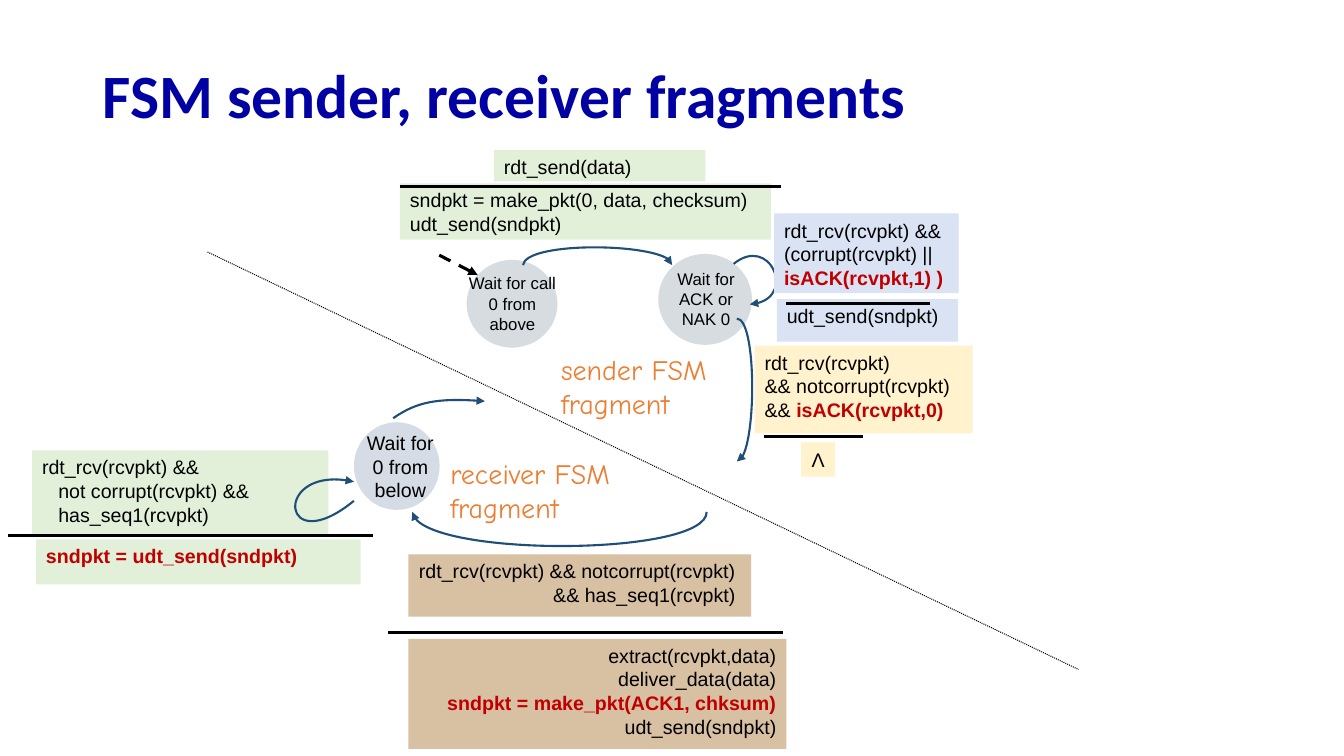
from dataclasses import dataclass
from lxml import etree
from pptx import Presentation, util as u
from pptx.dml.color import RGBColor
from pptx.enum import dml, shapes, text
from pptx.oxml.ns import qn


@dataclass(frozen=True)
class Theme:
    title: str = "0000A3"
    ink: str = "000000"
    accent: str = "C00000"
    caption: str = "ED7D31"
    arrow: str = "1F4E79"
    state: str = "D6DCE0"
    receiver_state: str = "D6DCE5"
    green: str = "E2F0D9"
    blue: str = "DAE3F3"
    yellow: str = "FFF2CC"
    brown: str = "945200"
    title_size: int = 44
    caption_size: int = 20
    label_size: int = 14
    state_size: int = 12


theme = Theme()
align = text.PP_ALIGN
prs = Presentation()
prs.slide_width, prs.slide_height = u.Cm(33.87), u.Cm(19.05)
slide = prs.slides.add_slide(prs.slide_layouts[6])


def add_label(place, lines, fill=None, size=theme.label_size, color=theme.ink,
              face="Arial", alignment=align.LEFT, wrap=True):
    """Add a text block; a line is a string or a (plain, accented) pair."""
    place = [u.Cm(length) for length in place]
    if fill:
        label = slide.shapes.add_shape(shapes.MSO_SHAPE.RECTANGLE, *place)
        label.shadow.inherit = False
        label.fill.solid()
        label.fill.fore_color.rgb = RGBColor.from_string(fill)
        label.line.fill.background()
    else:
        label = slide.shapes.add_textbox(*place)
    frame = label.text_frame
    frame.word_wrap = wrap
    frame.vertical_anchor = text.MSO_ANCHOR.TOP
    for number, line in enumerate(lines):
        plain, accented = (line, "") if isinstance(line, str) else line
        paragraph = frame.paragraphs[0] if number == 0 else frame.add_paragraph()
        paragraph.alignment = alignment
        paragraph.font.name = face
        paragraph.font.size = u.Pt(size)
        if plain:
            paragraph.add_run().text = plain
            paragraph.font.color.rgb = RGBColor.from_string(color)
        if accented:
            run = paragraph.add_run()
            run.text = accented
            accent_font = run.font if plain else paragraph.font
            accent_font.bold = True
            accent_font.color.rgb = RGBColor.from_string(theme.accent)
    return label


def style_line(stroke, color, width, dash=None, arrow=False):
    stroke.line.color.rgb = RGBColor.from_string(color)
    stroke.line.width = u.Pt(width)
    if dash:
        stroke.line.dash_style = dash
    properties = stroke._element.spPr
    if arrow:
        etree.SubElement(properties.find(qn("a:ln")), qn("a:tailEnd"), type="triangle")
    etree.SubElement(properties, qn("a:effectLst"))


title = add_label((2.34, 1.24, 29.21, 2.49), ["FSM sender, receiver fragments"],
                  size=theme.title_size, color=theme.title, face="Calibri")
title.text_frame.vertical_anchor = text.MSO_ANCHOR.MIDDLE
title.text_frame.paragraphs[0].font.bold = True
title.text_frame.paragraphs[0].line_spacing = 0.9

# Events and actions behind the arrows
add_label((10.08, 4.62, 9.35, 1.42),
          ["sndpkt = make_pkt(0, data, checksum)", "udt_send(sndpkt)"], theme.green)
add_label((12.45, 3.78, 5.33, 0.79), ["rdt_send(data)"], theme.green)
valid_packet = add_label((0.81, 11.35, 7.47, 2.16),
                         ["rdt_rcv(rcvpkt) &&", "not corrupt(rcvpkt) &&", "has_seq1(rcvpkt)"],
                         theme.green)
for condition in valid_packet.text_frame.paragraphs[1:]:
    condition._p.get_or_add_pPr().set("marL", str(u.Cm(0.41)))
add_label((0.91, 13.59, 8.18, 1.14), [("", "sndpkt = udt_send(sndpkt)")], theme.green)

states = [
    ((11.76, 6.55, 2.29, 2.21), (11.53, 6.76, 2.77, 1.63),
     ["Wait for call 0 from above"], theme.state, theme.state_size),
    ((16.59, 6.4, 2.36, 2.29), (16.41, 6.65, 2.77, 1.73),
     ["Wait for ACK or NAK 0"], theme.state, theme.state_size),
    ((8.92, 10.64, 2.16, 2.21), (8.97, 10.74, 2.24, 1.7),
     ["Wait for", "0 from below"], theme.receiver_state, theme.label_size),
]
for circle_place, name_place, name, fill, size in states:
    circle = slide.shapes.add_shape(shapes.MSO_SHAPE.OVAL, *map(u.Cm, circle_place))
    circle.shadow.inherit = False
    circle.fill.solid()
    circle.fill.fore_color.rgb = RGBColor.from_string(fill)
    circle.line.fill.background()
    add_label(name_place, name, size=size, alignment=align.CENTER)

# Each transition is a Bezier curve: start, two controls, end
transitions = [
    [(13.18, 6.68), (13.26, 6.1), (16.94, 6.12), (16.94, 6.68)],
    [(18.49, 6.65), (19.38, 5.92), (20.14, 7.57), (18.9, 7.67)],
    [(18.57, 8.03), (19.05, 8.03), (19.08, 11.56), (18.57, 11.63)],
    [(17.81, 12.9), (17.81, 14), (10.54, 14.05), (10.39, 12.9)],
    [(8.92, 12.62), (7.09, 14.12), (6.86, 11.68), (8.92, 12.14)],
    [(9.91, 10.54), (10.52, 10.11), (11.13, 10.03), (12.22, 10.11)],
]
for points in transitions:
    start, *others = [(u.Cm(x), u.Cm(y)) for x, y in points]
    builder = slide.shapes.build_freeform(*start)
    builder.add_line_segments(others, close=False)
    transition = builder.convert_to_shape()
    outline = next(transition._element.iter(qn("a:path")))
    bezier = etree.SubElement(outline, qn("a:cubicBezTo"))
    for segment in outline.findall(qn("a:lnTo")):
        bezier.append(segment[0])
        outline.remove(segment)
    transition.fill.background()
    style_line(transition, theme.arrow, 1.5, arrow=True)

# Events and actions in front of the arrows
add_label((19.58, 7.54, 4.57, 1.07), ["udt_send(sndpkt)"], theme.blue)
add_label((19.51, 5.38, 4.65, 2.01),
          ["rdt_rcv(rcvpkt) && (corrupt(rcvpkt) ||", ("", "isACK(rcvpkt,1) )")], theme.blue)
add_label((19.02, 8.71, 5.49, 2.21),
          ["rdt_rcv(rcvpkt)", "&& notcorrupt(rcvpkt)", ("&& ", "isACK(rcvpkt,0)")],
          theme.yellow)
add_label((20.19, 11.15, 0.86, 0.86), ["Λ"], theme.yellow,
          alignment=align.CENTER, wrap=False)
new_packet = add_label((10.29, 13.97, 8.64, 1.57),
                       ["rdt_rcv(rcvpkt) && notcorrupt(rcvpkt)", "&& has_seq1(rcvpkt)"],
                       theme.brown, alignment=align.RIGHT)
new_packet.text_frame.margin_left = u.Cm(0.1)
new_packet.text_frame.margin_right = u.Cm(0.39)
delivery = add_label((10.29, 16.1, 9.53, 2.77),
                     ["extract(rcvpkt,data)", "deliver_data(data)",
                      ("", "sndpkt = make_pkt(ACK1, chksum)"), "udt_send(sndpkt)"],
                     theme.brown, alignment=align.RIGHT)
for receipt in (new_packet, delivery):
    tint = receipt._element.spPr.find(qn("a:solidFill"))[0]
    etree.SubElement(tint, qn("a:alpha"), val="36000")

for place, side in [((13.89, 8.76, 4.5, 1.96), "sender FSM"),
                    ((11.1, 11.38, 5, 1.96), "receiver FSM")]:
    add_label(place, [side, "fragment"], size=theme.caption_size,
              color=theme.caption, face="Comic Neue", wrap=False)

# Rules between event and action, then the initial arrow and the divider
rules = [(10.08, 4.7, 19.69), (19.81, 7.65, 23.44), (19.25, 11, 21.74),
         (9.78, 15.93, 19.74), (0.2, 13.49, 9.4)]
strokes = [((left, y, right, y), 2.25, None, False) for left, y, right in rules]
strokes += [((11.07, 6.43, 12.04, 6.93), 2.25, dml.MSO_LINE.DASH, True),
            ((5.23, 6.35, 27.18, 16.87), 0.75, dml.MSO_LINE.ROUND_DOT, False)]
for ends, width, dash, arrow in strokes:
    stroke = slide.shapes.add_connector(shapes.MSO_CONNECTOR.STRAIGHT, *map(u.Cm, ends))
    style_line(stroke, theme.ink, width, dash, arrow)

prs.save("out.pptx")
